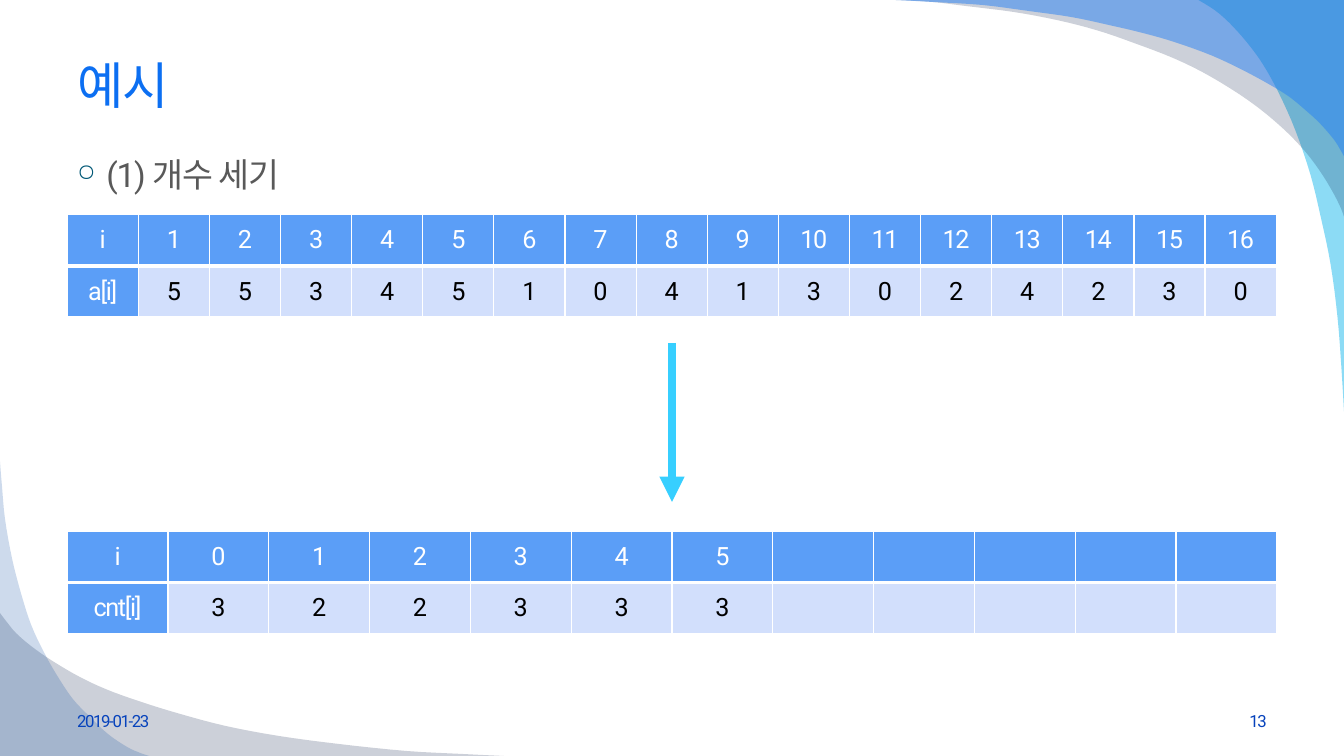
import pptx
import pptx.dml.color
import pptx.enum.shapes
import pptx.enum.text
import pptx.oxml.ns
import pptx.util
from lxml import etree

Pt = pptx.util.Pt
qn = pptx.oxml.ns.qn
ALIGN = pptx.enum.text.PP_ALIGN
MIDDLE = pptx.enum.text.MSO_ANCHOR.MIDDLE

# Content
TITLE = "예시"
STEP = "(1) 개수 세기"
DATE = "2019-01-23"
PAGE = "13"
VALUES = [5, 5, 3, 4, 5, 1, 0, 4, 1, 3, 0, 2, 4, 2, 3, 0]
INPUT_ROWS = [["i", *range(1, 17)], ["a[i]", *VALUES]]
COUNT_ROWS = [
    ["i", *range(6)] + [""] * 5,
    ["cnt[i]"] + [VALUES.count(number) for number in range(6)] + [""] * 5,
]

FONT = "Roboto"
COLORS = {
    "title": "0C6FF2", "body": "595959", "bullet": "005876", "footer": "0743BC",
    "header": "5B9EF7", "cell": "D2DFFC", "white": "FFFFFF", "black": "000000",
    "arrow": "37CFFF", "cyan": "00B1E9", "navy": "021741", "blue": "247FF4",
    "steel": "084AA1",
}

# Corner waves: colour, opacity in percent, corner, points along the curved edge
WAVES = [
    ("cyan", 45, (960, 0), [
        (856, 0), (867.6, 7.2), (878.4, 16.6), (890.6, 30.2), (902.2, 46.1),
        (913.7, 67), (925.2, 92.9), (936, 124.6), (943.2, 154.1),
        (950.4, 188.6), (955.4, 226.8), (958.3, 265), (960, 293.8)]),
    ("navy", 20, (960, 0), [
        (640, 0), (666, 1.4), (689.8, 4.3), (724.3, 8.6), (755.3, 14.4),
        (783.4, 21.6), (808.6, 30.2), (838.8, 41.8), (864.7, 54.7),
        (892.1, 72), (913.7, 89.3), (930.2, 105.8), (942.5, 121.7),
        (951.8, 136.8), (957.6, 148.3), (960, 154.8)]),
    ("blue", 49, (960, 0), [
        (640, 0), (666, 1.4), (702, 3.6), (735.1, 7.9), (765.4, 12.2),
        (792.7, 18), (817.2, 23.8), (839.5, 30.2), (865.4, 39.6),
        (887, 49.7), (905.8, 59.8), (920.9, 69.1), (933.1, 79.2),
        (942.5, 87.8), (952.6, 99.4), (957.6, 107.3), (960, 111.6)]),
    ("navy", 20, (0, 540), [
        (0, 437.8), (4.3, 443.5), (11.5, 452.2), (22.3, 461.5), (36.7, 471.6),
        (56.2, 483.1), (76.3, 492.5), (100.1, 501.1), (128.2, 509.8),
        (160.6, 518.4), (198.7, 525.6), (241.9, 531.4), (290.2, 536.4),
        (331.2, 538.6), (360, 540)]),
    ("steel", 20, (0, 540), [
        (0, 329.8), (1.4, 347), (3.6, 370.8), (8.6, 398.9), (15.1, 424.1),
        (22.3, 446.4), (31, 465.1), (40.3, 481.7), (51.8, 499),
        (64.1, 511.9), (77, 524.2), (90.7, 533.5), (100.1, 537.8),
        (106.6, 540)]),
]

# Layout
LEFT, WIDTH = 48, 864
ROW_HEIGHT = 36.5
FOOTER_TOP, FOOTER_WIDTH, FOOTER_HEIGHT = 500.5, 224, 28.75


def rgb(name):
    return pptx.dml.color.RGBColor.from_string(COLORS[name])


def write(frame, text, size=18, color="black", align=ALIGN.LEFT, anchor=None):
    frame.word_wrap = True
    if anchor is not None:
        frame.vertical_anchor = anchor
    paragraph = frame.paragraphs[0]
    paragraph.alignment = align
    run = paragraph.add_run()
    run.text = str(text)
    font = run.font
    font.name, font.size, font.bold = FONT, Pt(size), False
    font.color.rgb = rgb(color)
    properties = font._element if hasattr(font, "_element") else font._rPr
    properties.set("spc", "-100")
    etree.SubElement(properties, qn("a:ea"), typeface=FONT)
    return paragraph


def smooth(points, steps=4):
    """Return points on a Catmull-Rom curve through the given points."""
    ends = [points[0], *points, points[-1]]
    curve = [points[0]]
    for p0, p1, p2, p3 in zip(ends, ends[1:], ends[2:], ends[3:]):
        for step in range(1, steps + 1):
            t = step / steps
            curve.append(tuple(
                (2 * b + (c - a) * t + (2 * a - 5 * b + 4 * c - d) * t ** 2
                 + (3 * b - a - 3 * c + d) * t ** 3) / 2
                for a, b, c, d in zip(p0, p1, p2, p3)))
    return curve


def add_wave(slide, color, opacity, corner, edge):
    start, *rest = [(Pt(x), Pt(y)) for x, y in [corner, *smooth(edge)]]
    builder = slide.shapes.build_freeform(*start)
    builder.add_line_segments(rest, close=True)
    wave = builder.convert_to_shape()
    wave.shadow.inherit = False
    wave.line.fill.background()
    wave.fill.solid()
    wave.fill.fore_color.rgb = rgb(color)
    shade = wave._element.spPr.find(".//" + qn("a:srgbClr"))
    etree.SubElement(shade, qn("a:alpha"), val=str(opacity * 1000))


def add_text_box(slide, left, top, width, height, text, **text_format):
    box = slide.shapes.add_textbox(Pt(left), Pt(top), Pt(width), Pt(height))
    return write(box.text_frame, text, **text_format)


def add_borders(cell, widths):
    properties = cell._tc.get_or_add_tcPr()
    for side, width in widths.items():
        border = etree.SubElement(properties, qn("a:ln" + side), w=str(Pt(width)))
        fill = etree.SubElement(border, qn("a:solidFill"))
        etree.SubElement(fill, qn("a:srgbClr"), val=COLORS["white"])


def add_array(slide, top, rows):
    columns = len(rows[0])
    table = slide.shapes.add_table(
        len(rows), columns, Pt(LEFT), Pt(top), Pt(WIDTH),
        Pt(ROW_HEIGHT * len(rows))).table
    for column in table.columns:
        column.width = Pt(WIDTH / columns)
    for r, values in enumerate(rows):
        table.rows[r].height = Pt(ROW_HEIGHT)
        for c, value in enumerate(values):
            cell = table.cell(r, c)
            heading = r == 0 or c == 0
            add_borders(cell, {"L": 1, "R": 1, "T": 3 if r else 1, "B": 1 if r else 3})
            cell.fill.solid()
            cell.fill.fore_color.rgb = rgb("header" if heading else "cell")
            cell.vertical_anchor = MIDDLE
            if value != "":
                write(cell.text_frame, value, align=ALIGN.CENTER,
                      color="white" if heading else "black")


def main():
    deck = pptx.Presentation()
    deck.slide_width, deck.slide_height = Pt(960), Pt(540)
    slide = deck.slides.add_slide(deck.slide_layouts[5])

    # Corner waves, behind the title
    for wave in WAVES:
        add_wave(slide, *wave)

    # Title
    title = slide.shapes.title
    slide.shapes._spTree.append(title._element)
    title.left, title.top, title.width, title.height = Pt(LEFT), Pt(24), Pt(WIDTH), Pt(72.5)
    write(title.text_frame, TITLE, size=36, color="title", anchor=MIDDLE)

    # Step with its bullet
    step = add_text_box(slide, LEFT, 106.5, WIDTH, 376, STEP, size=24, color="body")
    indents = step._p.get_or_add_pPr()
    indents.set("marL", str(Pt(21)))
    indents.set("indent", str(-Pt(21)))
    bullet_color = etree.SubElement(indents, qn("a:buClr"))
    etree.SubElement(bullet_color, qn("a:srgbClr"), val=COLORS["bullet"])
    etree.SubElement(indents, qn("a:buSzPct"), val="70000")
    etree.SubElement(indents, qn("a:buChar"), char="○")

    # Date and page number
    add_text_box(slide, LEFT, FOOTER_TOP, FOOTER_WIDTH, FOOTER_HEIGHT, DATE,
                 size=12, color="footer", anchor=MIDDLE)
    add_text_box(slide, LEFT + WIDTH - FOOTER_WIDTH, FOOTER_TOP, FOOTER_WIDTH,
                 FOOTER_HEIGHT, PAGE, size=12, color="footer", align=ALIGN.RIGHT,
                 anchor=MIDDLE)

    # Input array, arrow, counts
    add_array(slide, 153.5, INPUT_ROWS)
    arrow = slide.shapes.add_connector(
        pptx.enum.shapes.MSO_CONNECTOR.STRAIGHT, Pt(480), Pt(245), Pt(480), Pt(358.5))
    arrow.line.color.rgb = rgb("arrow")
    arrow.line.width = Pt(6)
    etree.SubElement(arrow.line._get_or_add_ln(), qn("a:tailEnd"), type="triangle")
    etree.SubElement(arrow._element.spPr, qn("a:effectLst"))
    add_array(slide, 379.5, COUNT_ROWS)

    deck.save("out.pptx")


if __name__ == "__main__":
    main()
